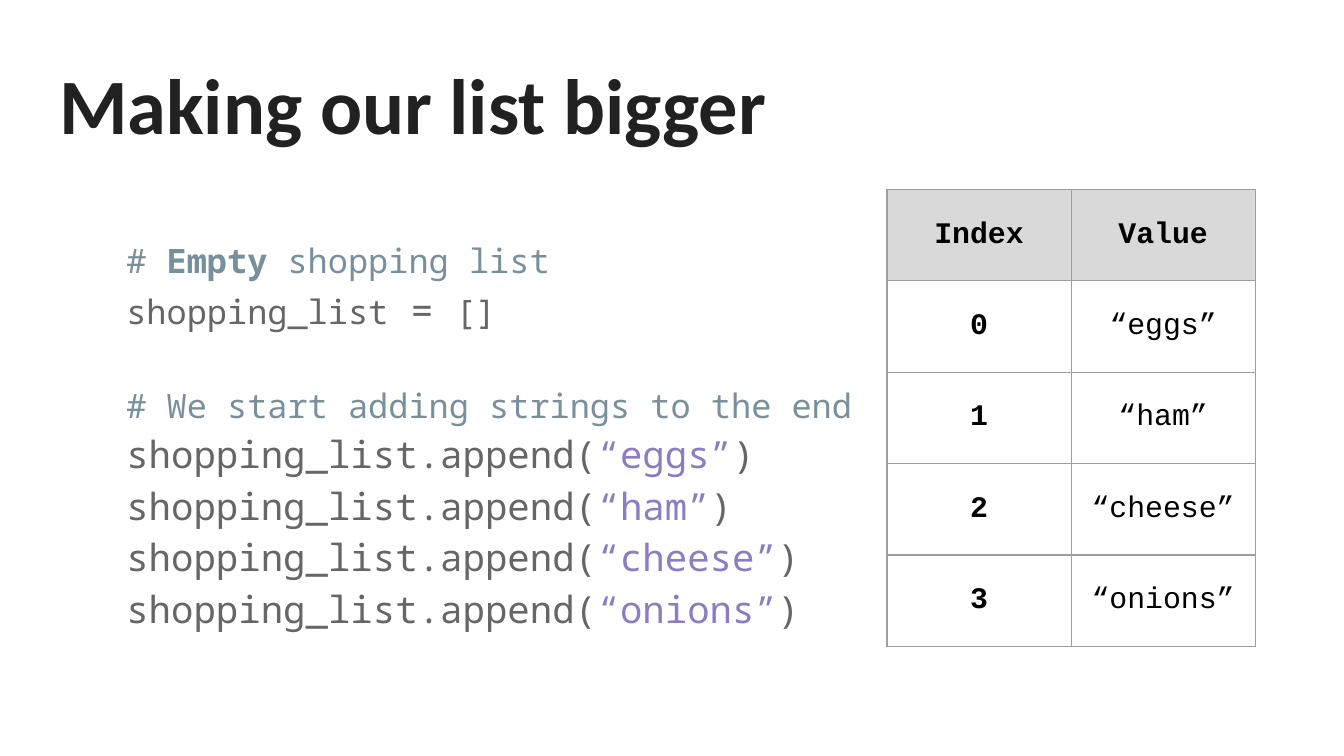
from lxml.etree import SubElement
from pptx import Presentation
from pptx.dml.color import RGBColor
from pptx.enum.text import MSO_ANCHOR, PP_ALIGN
from pptx.oxml.ns import qn
from pptx.util import Inches, Pt

COLORS = {
    "title": "212121", "comment": "78909C", "code": "666666",
    "string": "8E7CC3", "black": "000000", "header": "D9D9D9",
    "border": "9E9E9E",
}
ITEMS = ["“eggs”", "“ham”", "“cheese”", "“onions”"]


def add_text(p, text, font="Noto Sans Mono", size=18, color="code", bold=False):
    r = p.add_run()
    r.text = text
    r.font.name = font
    r.font.size = Pt(size)
    r.font.bold = bold
    r.font.color.rgb = RGBColor.from_string(COLORS[color])


def set_margins(obj, margin=0.1):
    for side in ("left", "top", "right", "bottom"):
        setattr(obj, f"margin_{side}", Inches(margin))


def set_borders(cell, color="border", width=0.75):
    tcPr = cell._tc.get_or_add_tcPr()
    for i, side in enumerate(("lnL", "lnR", "lnT", "lnB")):
        ln = tcPr.makeelement(qn(f"a:{side}"), {"w": str(Pt(width))})
        fill = SubElement(ln, qn("a:solidFill"))
        SubElement(fill, qn("a:srgbClr"), val=COLORS[color])
        tcPr.insert(i, ln)


def add_title(s, x, y, w, h):
    sp = s.shapes.title
    sp.left, sp.top, sp.width, sp.height = map(Inches, (x, y, w, h))
    tf = sp.text_frame
    set_margins(tf)
    tf.word_wrap = True
    tf.vertical_anchor = MSO_ANCHOR.TOP
    p = tf.paragraphs[0]
    p.alignment = PP_ALIGN.LEFT
    add_text(p, "Making our list bigger", font="Calibri", size=42,
             color="title", bold=True)


def add_code(s, x, y, w, h):
    comment = {"color": "comment"}
    large = {"size": 20}
    lines = [
        [("# ", comment), ("Empty", {**comment, "bold": True}),
         (" shopping list", comment)],
        [("shopping_list", {}), (" = ", large), ("[]", {})],
        [("# We start adding strings to the end", comment)],
    ]
    lines += [[("shopping_list.append(", large),
               (item, {**large, "color": "string"}), (")", large)]
              for item in ITEMS]

    tf = s.shapes.add_textbox(*map(Inches, (x, y, w, h))).text_frame
    tf.word_wrap = True
    set_margins(tf)
    tf.margin_left = Inches(0.6)
    tf.margin_top = Inches(0.4)
    for i, line in enumerate(lines):
        p = tf.paragraphs[0] if i == 0 else tf.add_paragraph()
        p.line_spacing = 1.15
        # The second comment opens a new block of code
        if i == 2:
            p.space_before = Pt(25)
        for text, style in line:
            add_text(p, text, **style)


def add_index_table(s, x, y, w, h):
    rows = [("Index", "Value")] + [(str(i), item) for i, item in enumerate(ITEMS)]
    table = s.shapes.add_table(
        len(rows), 2, *map(Inches, (x, y, w, h))).table
    for i, row in enumerate(rows):
        for j, text in enumerate(row):
            cell = table.cell(i, j)
            set_margins(cell)
            cell.vertical_anchor = MSO_ANCHOR.MIDDLE
            if i == 0:
                cell.fill.solid()
                cell.fill.fore_color.rgb = RGBColor.from_string(COLORS["header"])
            else:
                cell.fill.background()
            set_borders(cell)
            p = cell.text_frame.paragraphs[0]
            p.alignment = PP_ALIGN.CENTER
            add_text(p, text, font="Courier New", size=16, color="black",
                     bold=i == 0 or j == 0)


def main():
    prs = Presentation()
    # Widescreen, 16:9
    prs.slide_width = Inches(10)
    prs.slide_height = prs.slide_width * 9 // 16
    s = prs.slides.add_slide(prs.slide_layouts[5])
    add_title(s, 0.34, 0.32, 9.32, 0.88)
    add_code(s, 0.34, 1.34, 6.26, 3.65)
    add_index_table(s, 6.6, 1.41, 2.74, 3.4)
    prs.save("out.pptx")


if __name__ == "__main__":
    main()
